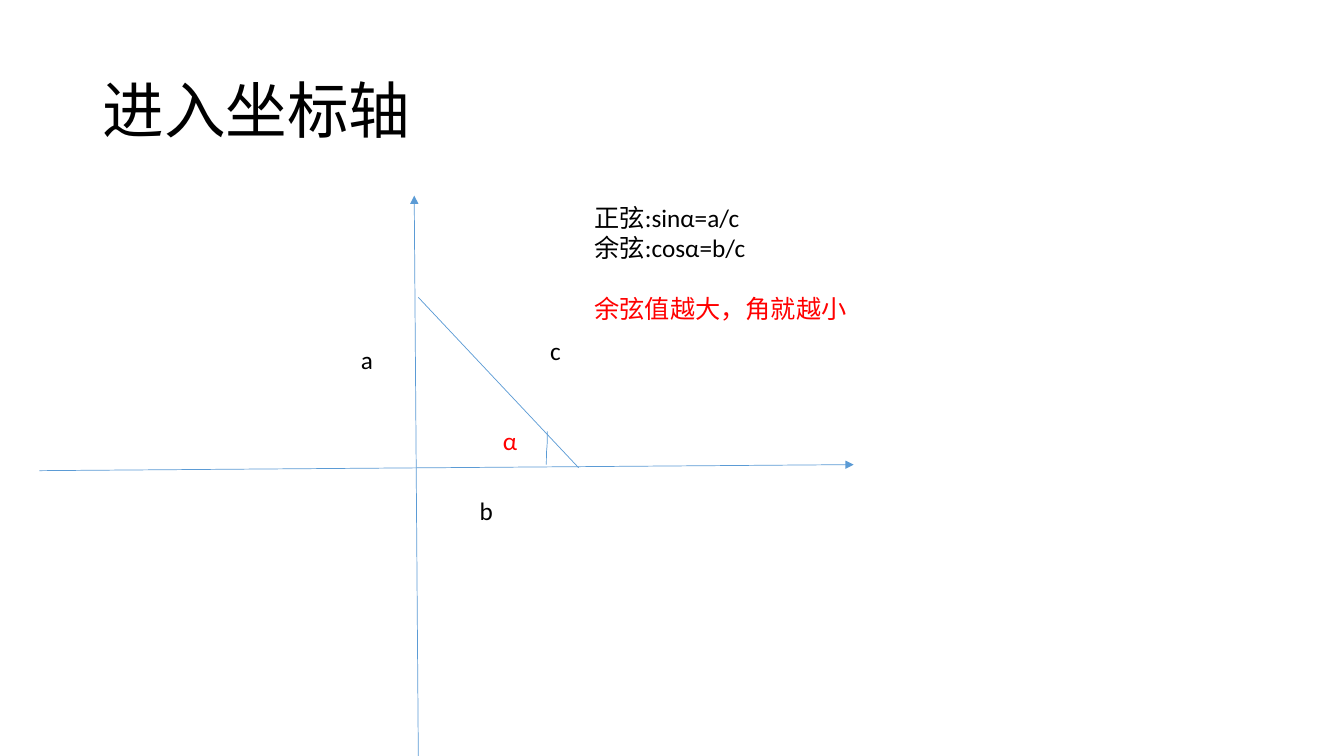
from pptx import Presentation
from pptx.dml.color import RGBColor
from pptx.enum.shapes import MSO_CONNECTOR as Connector
from pptx.enum.text import MSO_ANCHOR as Anchor, MSO_AUTO_SIZE as AutoSize, PP_ALIGN as Align
from pptx.oxml.ns import qn
from pptx.oxml.xmlchemy import OxmlElement
from pptx.util import Pt

FONT = "Calibri"
BLACK, RED, BLUE = "000000", "FF0000", "5B9BD5"

TITLE = ("进入坐标轴", (66, 28.8, 828, 104.4))

# box (left, top, width, height), then lines of (words, colour, space before)
TEXTS = [
    ((250.6, 242.6, 36.7, 28.8), [("a", BLACK, 0)]),
    ((335.5, 350.6, 36.7, 28.8), [("b", BLACK, 0)]),
    ((385.9, 236.2, 36.7, 28.8), [("c", BLACK, 0)]),
    ((417.6, 141.1, 299.5, 138.2), [
        ("正弦:sinα=a/c", BLACK, 0),
        ("余弦:cosα=b/c", BLACK, 0),
        ("余弦值越大，角就越小", RED, 22),
    ]),
    ((352.1, 300.2, 18.7, 28.8), [("α", RED, 0)]),
]

# start x, start y, end x, end y, arrowhead at the end
LINES = [
    (28.1, 336.2, 609.8, 331.9, True),
    (298.8, 540, 295.9, 139.7, True),
    (298.8, 212.4, 413.3, 334.1, False),
]
ANGLE_MARK = (378.7, 319.7, 402.5, 320.4)  # before its quarter turn
QUARTER_TURN = 90 * 60000


def colour(value):
    return RGBColor.from_string(value)


def style(para, size, value):
    for name, setting in {"name": FONT, "size": Pt(size)}.items():
        setattr(para.font, name, setting)
    para.font.color.rgb = colour(value)


def add_line(page, kind, ends, arrow=False):
    line = page.shapes.add_connector(kind, *map(Pt, ends))
    line.line.color.rgb = colour(BLUE)
    line.line.width = Pt(0.5)
    if arrow:
        head = OxmlElement("a:tailEnd")
        head.set("type", "triangle")
        line.line._get_or_add_ln().append(head)
    line._element.spPr.append(OxmlElement("a:effectLst"))
    return line


def add_text(page, place, lines):
    box = page.shapes.add_textbox(*map(Pt, place))
    frame = box.text_frame
    frame.word_wrap = True
    frame.auto_size = AutoSize.SHAPE_TO_FIT_TEXT
    for index, (words, value, gap) in enumerate(lines):
        para = frame.add_paragraph() if index else frame.paragraphs[0]
        para.text = words
        para.space_before = Pt(gap)
        style(para, 18, value)


def add_title(page, words, place):
    title = page.shapes.title
    for name, length in zip(("left", "top", "width", "height"), place):
        setattr(title, name, Pt(length))
    frame = title.text_frame
    frame.text = words
    frame.vertical_anchor = Anchor.MIDDLE
    frame.auto_size = AutoSize.NONE
    para = frame.paragraphs[0]
    para.alignment = Align.LEFT
    para.line_spacing = 0.9
    style(para, 44, BLACK)


def main():
    deck = Presentation()
    deck.slide_width, deck.slide_height = Pt(960), Pt(540)
    page = deck.slides.add_slide(deck.slide_layouts[5])
    add_title(page, *TITLE)
    for place, lines in TEXTS:
        add_text(page, place, lines)
    mark = add_line(page, Connector.CURVE, ANGLE_MARK)
    mark._element.spPr.find(qn("a:xfrm")).set("rot", str(QUARTER_TURN))
    for *ends, arrow in LINES:
        add_line(page, Connector.STRAIGHT, ends, arrow)
    deck.save("out.pptx")


if __name__ == "__main__":
    main()
